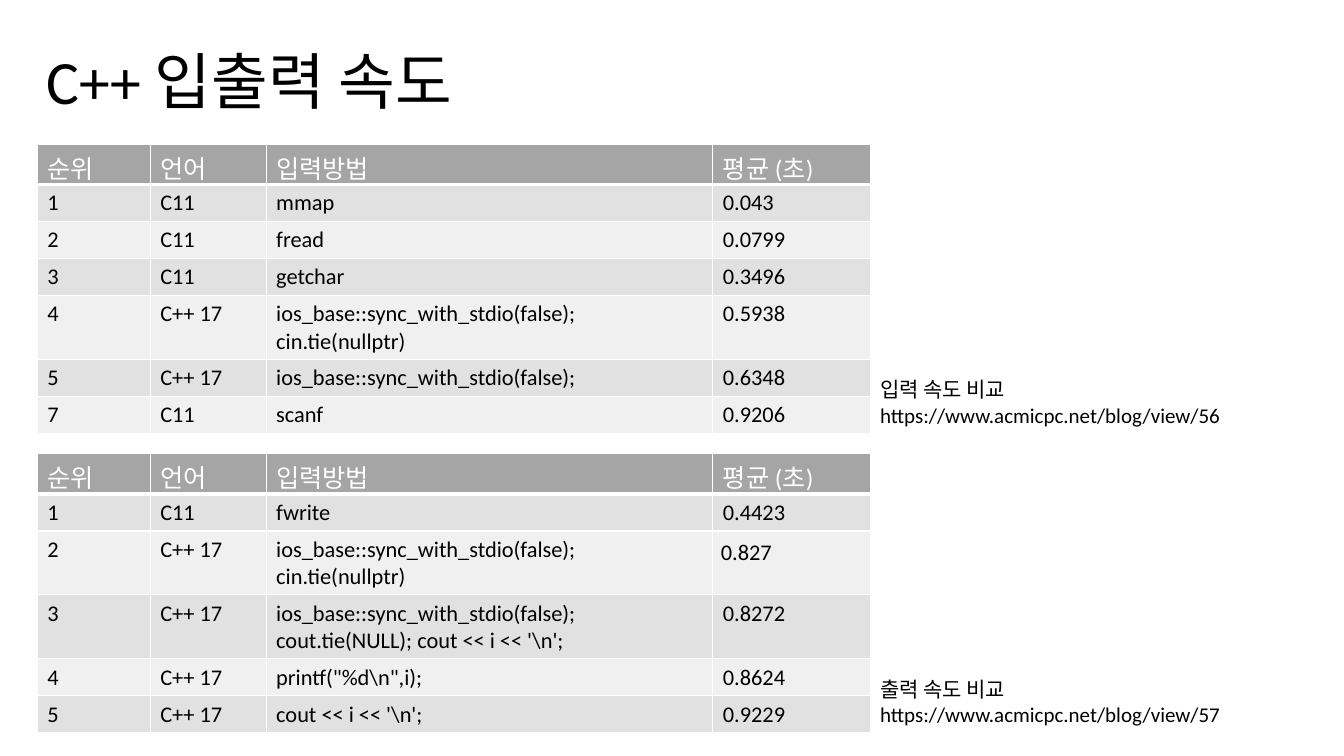
import pptx
import pptx.dml.color
import pptx.enum.text
import pptx.oxml
import pptx.oxml.ns
import pptx.util
from pptx.util import Inches

COLORS = {
    "text": "000000",
    "header_text": "FFFFFF",
    "border": "FFFFFF",
    "header": "A5A5A5",
    "odd_row": "E1E1E1",
    "even_row": "F0F0F0",
}
FONT = "Calibri"

HEADER = ("순위", "언어", "입력방법", "평균 (초)")
COLUMN_WIDTHS = (1.12, 1.15, 4.43, 1.57)
HEADER_HEIGHT, ROW_HEIGHT, TWO_LINE_HEIGHT = 0.35, 0.32, 0.55
LEFT, NOTE_LEFT = 0.37, 8.63

INPUT_ROWS = [
    ("1", "C11", "mmap", "0.043"),
    ("2", "C11", "fread", "0.0799"),
    ("3", "C11", "getchar", "0.3496"),
    ("4", "C++ 17", "ios_base::sync_with_stdio(false);\ncin.tie(nullptr)", "0.5938"),
    ("5", "C++ 17", "ios_base::sync_with_stdio(false);", "0.6348"),
    ("7", "C11", "scanf", "0.9206"),
]
OUTPUT_ROWS = [
    ("1", "C11", "fwrite", "0.4423"),
    ("2", "C++ 17", "ios_base::sync_with_stdio(false);\ncin.tie(nullptr)", "0.827"),
    ("3", "C++ 17", "ios_base::sync_with_stdio(false); cout.tie(NULL); cout << i << '\\n';", "0.8272"),
    ("4", "C++ 17", "printf(\"%d\\n\",i);", "0.8624"),
    ("5", "C++ 17", "cout << i << '\\n';", "0.9229"),
]


def rgb(name):
    return pptx.dml.color.RGBColor.from_string(COLORS[name])


def write_text(frame, text, size, color="text", line_spacing=None):
    """Fill a text frame, one paragraph per line."""
    frame.text = text
    for paragraph in frame.paragraphs:
        if line_spacing:
            paragraph.line_spacing = line_spacing
        for run in paragraph.runs:
            run.font.name = FONT
            run.font.size = pptx.util.Pt(size)
            run.font.bold = False
            run.font.color.rgb = rgb(color)


def set_borders(cell, bottom_width):
    properties = cell._tc.get_or_add_tcPr()
    for side, width in (("L", 1), ("R", 1), ("T", 1), ("B", bottom_width)):
        properties.append(pptx.oxml.parse_xml(
            f'<a:ln{side} {pptx.oxml.ns.nsdecls("a")} w="{pptx.util.Pt(width)}">'
            f'<a:solidFill><a:srgbClr val="{COLORS["border"]}"/></a:solidFill></a:ln{side}>'))


class SlideBuilder:
    def __init__(self, presentation):
        self.slide = presentation.slides.add_slide(presentation.slide_layouts[6])

    def text_box(self, left, top, width, height, text, size, wrap=False, **text_format):
        shape = self.slide.shapes.add_textbox(
            Inches(left), Inches(top), Inches(width), Inches(height))
        shape.text_frame.word_wrap = wrap
        write_text(shape.text_frame, text, size, **text_format)
        return shape

    def title(self, text):
        shape = self.text_box(0.36, 0.11, 11.5, 1.45, text, 44, wrap=True, line_spacing=0.9)
        shape.text_frame.vertical_anchor = pptx.enum.text.MSO_ANCHOR.MIDDLE

    def note(self, top, text):
        shape = self.text_box(NOTE_LEFT, top, 3.61, 0.61, text, 15)
        shape.text_frame.auto_size = pptx.enum.text.MSO_AUTO_SIZE.SHAPE_TO_FIT_TEXT

    def speed_table(self, top, height, rows, tall_rows=()):
        shape = self.slide.shapes.add_table(
            len(rows) + 1, len(HEADER), Inches(LEFT), Inches(top),
            Inches(sum(COLUMN_WIDTHS)), Inches(height))
        table = shape.table
        for column, width in zip(table.columns, COLUMN_WIDTHS):
            column.width = Inches(width)
        for row_index, values in enumerate([HEADER, *rows]):
            is_header = row_index == 0
            row_height = TWO_LINE_HEIGHT if row_index in tall_rows else ROW_HEIGHT
            table.rows[row_index].height = Inches(HEADER_HEIGHT if is_header else row_height)
            fill = "header" if is_header else "odd_row" if row_index % 2 else "even_row"
            for column_index, value in enumerate(values):
                cell = table.cell(row_index, column_index)
                set_borders(cell, 3 if is_header else 1)
                cell.fill.solid()
                cell.fill.fore_color.rgb = rgb(fill)
                write_text(cell.text_frame, value, 18 if is_header else 16,
                           "header_text" if is_header else "text")
        shape.height = Inches(height)
        return table


def main():
    presentation = pptx.Presentation()
    presentation.slide_width = Inches(13.33)
    presentation.slide_height = Inches(7.5)
    builder = SlideBuilder(presentation)

    builder.title("C++ 입출력 속도")

    # Input speed
    builder.speed_table(1.43, 2.87, INPUT_ROWS, tall_rows=(4,))
    builder.note(3.69, "입력 속도 비교\nhttps://www.acmicpc.net/blog/view/56")

    # Output speed
    output_table = builder.speed_table(4.5, 2.77, OUTPUT_ROWS)
    inset_cell = output_table.cell(2, 3)
    inset_cell.margin_left = inset_cell.margin_right = Inches(0.08)
    inset_cell.margin_top = inset_cell.margin_bottom = Inches(0.08)
    builder.note(6.66, "출력 속도 비교\nhttps://www.acmicpc.net/blog/view/57")

    presentation.save("out.pptx")


if __name__ == "__main__":
    main()
